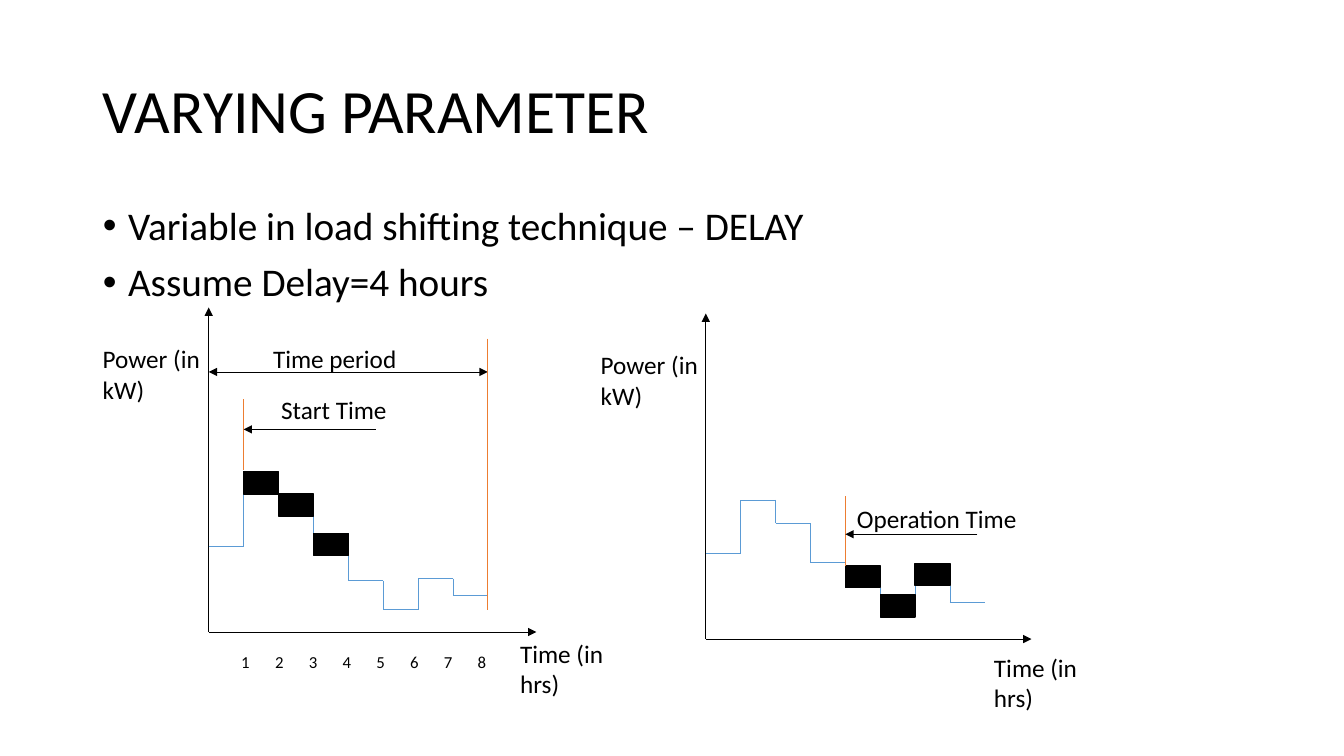
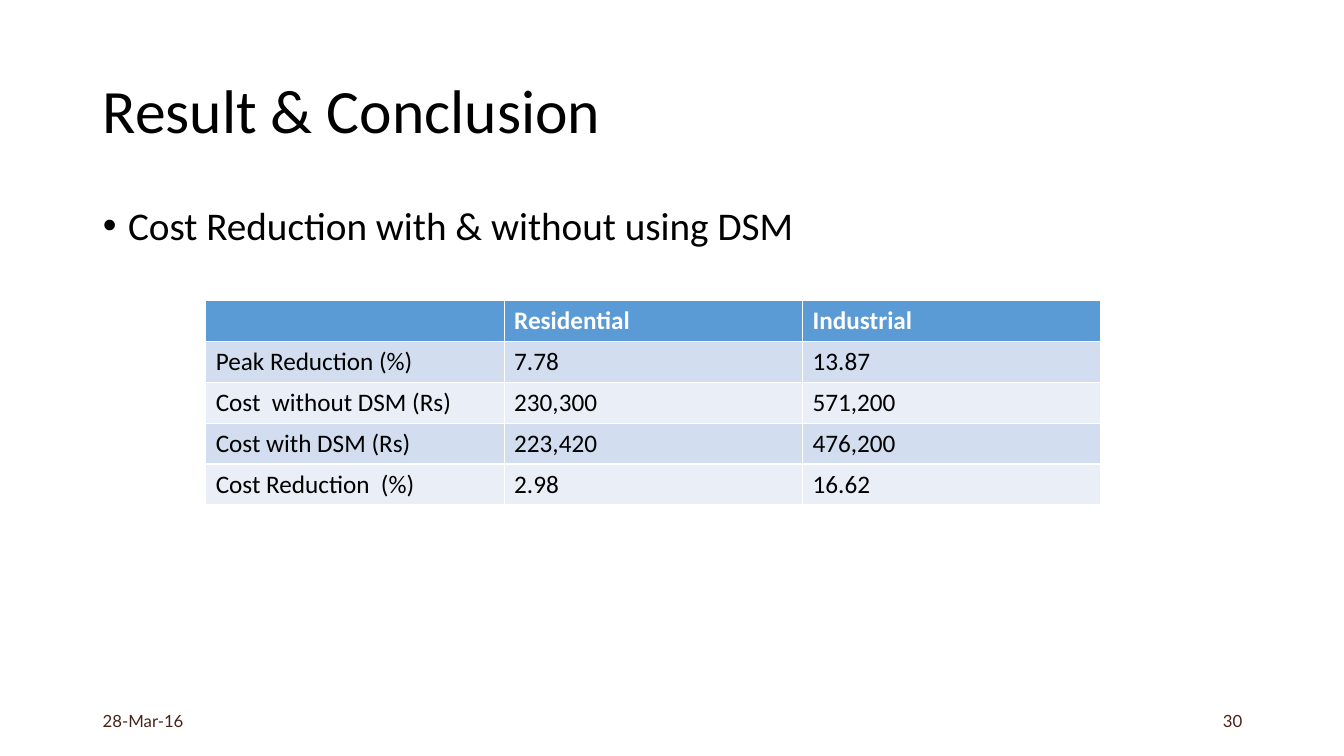
from pptx import Presentation
from pptx.dml.color import RGBColor
from pptx.enum.shapes import MSO_CONNECTOR, MSO_SHAPE
from pptx.enum.text import MSO_ANCHOR, MSO_AUTO_SIZE, PP_ALIGN
from pptx.oxml.ns import qn
from pptx.util import Inches, Pt
from lxml.etree import SubElement

BLACK, WHITE, BLUE, ORANGE, BROWN = "000000", "FFFFFF", "5B9BD5", "ED7D31", "4A2318"
ROW_FILLS = ("D2DEEF", "EAEFF7")
BLOCK_HEIGHT = 0.22
HOUR_WIDTH = 0.346

DELAY_TITLE = "VARYING PARAMETER"
DELAY_POINTS = ["Variable in load shifting technique – DELAY", "Assume Delay=4 hours"]
RESULT_TITLE = "Result & Conclusion"
RESULT_POINTS = ["Cost Reduction with & without using DSM"]
RESULT_ROWS = [
    ("", "Residential", "Industrial"),
    ("Peak Reduction (%)", "7.78", "13.87"),
    ("Cost  without DSM (Rs)", "230,300", "571,200"),
    ("Cost with DSM (Rs)", "223,420", "476,200"),
    ("Cost Reduction  (%)", "2.98", "16.62"),
]
DATE, PAGE = "28-Mar-16", "30"

LOAD_CURVES = [
    {
        "origin": (2.07, 6.27), "axis_top": 3.05, "axis_right": 5.32,
        "levels": [5.42, 4.68, 4.9, 5.29, 5.76, 6.05, 5.74, 5.91],
        "block_hours": (1, 2, 3), "block_shift": 0,
        "power_label": (0.92, 3.36), "time_label": (5.06, 6.28),
        "marker_hour": 1, "marker": (4.66, 3.96), "marker_arrow": 4.26,
        "marker_label": ("Start Time", 2.69, 3.86),
    },
    {
        "origin": (7, 6.34), "axis_top": 3.11, "axis_right": 10.23,
        "levels": [5.49, 4.96, 5.19, 5.58, 5.83, 6.12, 5.81, 5.98],
        "block_hours": (4, 5, 6), "block_shift": -BLOCK_HEIGHT,
        "power_label": (5.86, 3.42), "time_label": (9.76, 6.42),
        "marker_hour": 4, "marker": (5.62, 4.92), "marker_arrow": 5.3,
        "marker_label": ("Operation Time", 8.4, 4.94),
    },
]


def rgb(value):
    return RGBColor.from_string(value)


def write(frame, lines, size=18, color=BLACK, font="Calibri", bold=False,
          align=PP_ALIGN.LEFT, spacing=None, before=None, indent=None):
    for index, line in enumerate(lines):
        paragraph = frame.paragraphs[0] if index == 0 else frame.add_paragraph()
        paragraph.alignment = align
        paragraph.line_spacing = spacing
        paragraph.space_before = before
        if indent:
            properties = paragraph._p.get_or_add_pPr()
            properties.set("marL", str(Inches(indent)))
            properties.set("indent", str(-Inches(indent)))
        run = paragraph.add_run()
        run.text = line
        run.font.size, run.font.name, run.font.bold = Pt(size), font, bold
        run.font.color.rgb = rgb(color)


def add_label(slide, text, left, top, width, height=0.4, anchor=MSO_ANCHOR.TOP, **style):
    frame = slide.shapes.add_textbox(
        Inches(left), Inches(top), Inches(width), Inches(height)).text_frame
    frame.word_wrap = True
    frame.vertical_anchor = anchor
    write(frame, [text], **style)


def add_line(slide, start, end, color=BLACK, head=False, tail=False):
    line = slide.shapes.add_connector(
        MSO_CONNECTOR.STRAIGHT, *(Inches(value) for value in (*start, *end)))
    line.line.width = Pt(0.5)
    line.line.color.rgb = rgb(color)
    outline = line.line._get_or_add_ln()
    for tag, wanted in (("a:headEnd", head), ("a:tailEnd", tail)):
        if wanted:
            SubElement(outline, qn(tag)).set("type", "triangle")
    SubElement(line._element.spPr, qn("a:effectLst"))


def place(shape, left, top, width, height):
    shape.left, shape.top = Inches(left), Inches(top)
    shape.width, shape.height = Inches(width), Inches(height)


def add_content_slide(deck, title, points):
    slide = deck.slides.add_slide(deck.slide_layouts[1])
    heading, body = slide.shapes.title, slide.placeholders[1]
    place(heading, 0.92, 0.4, 11.5, 1.45)
    place(body, 0.92, 2, 11.5, 4.76)
    heading.text_frame.vertical_anchor = MSO_ANCHOR.MIDDLE
    body.text_frame.auto_size = MSO_AUTO_SIZE.NONE
    write(heading.text_frame, [title], size=44, spacing=0.9)
    write(body.text_frame, points, size=28, spacing=0.9, before=Pt(10), indent=0.25)
    return slide


def draw_load_curve(slide, curve):
    left, base = curve["origin"]
    levels = curve["levels"]
    edges = [left + HOUR_WIDTH * hour for hour in range(len(levels) + 1)]
    add_line(slide, (left, base), (left, curve["axis_top"]), tail=True)
    add_line(slide, (left, base), (curve["axis_right"], base), tail=True)

    for hour, level in enumerate(levels):
        add_line(slide, (edges[hour], level), (edges[hour + 1], level), BLUE)
        if hour:
            add_line(slide, (edges[hour], levels[hour - 1]), (edges[hour], level), BLUE)

    for hour in curve["block_hours"]:
        block = slide.shapes.add_shape(
            MSO_SHAPE.RECTANGLE, Inches(edges[hour]),
            Inches(levels[hour] + curve["block_shift"]),
            Inches(HOUR_WIDTH), Inches(BLOCK_HEIGHT))
        block.shadow.inherit = False
        block.fill.solid()
        block.fill.fore_color.rgb = rgb(BLACK)
        block.line.color.rgb = rgb(BLACK)
        block.line.width = Pt(1)

    add_label(slide, "Power (in kW)", *curve["power_label"], 1.3)
    add_label(slide, "Time (in hrs)", *curve["time_label"], 1.22)

    marked = edges[curve["marker_hour"]]
    bottom, top = curve["marker"]
    arrow = curve["marker_arrow"]
    add_line(slide, (marked, bottom), (marked, top), ORANGE)
    add_line(slide, (marked + 1.31, arrow), (marked, arrow), tail=True)
    add_label(slide, *curve["marker_label"], 2.09)
    return edges


def build_delay_slide(deck):
    slide = add_content_slide(deck, DELAY_TITLE, DELAY_POINTS)
    edges, _ = [draw_load_curve(slide, curve) for curve in LOAD_CURVES]
    add_line(slide, (edges[0], 3.69), (edges[-1], 3.69), head=True, tail=True)
    add_line(slide, (edges[-1], 3.36), (edges[-1], 6.05), ORANGE)
    add_label(slide, "Time period", 2.61, 3.36, 2.09)
    for hour in range(1, len(edges)):
        add_label(slide, str(hour), 1.9 + 0.335 * hour, 6.42, 0.4, 0.33,
                  size=12, align=PP_ALIGN.CENTER)


def build_result_slide(deck):
    slide = add_content_slide(deck, RESULT_TITLE, RESULT_POINTS)
    for text, left, align in ((DATE, 0.92, PP_ALIGN.LEFT), (PAGE, 9.42, PP_ALIGN.RIGHT)):
        add_label(slide, text, left, 6.95, 3, anchor=MSO_ANCHOR.MIDDLE,
                  size=12, font="Lato", color=BROWN, align=align)

    table = slide.shapes.add_table(
        len(RESULT_ROWS), len(RESULT_ROWS[0]),
        Inches(2.04), Inches(2.98), Inches(8.88), Inches(2.03)).table
    for row, values in enumerate(RESULT_ROWS):
        header = row == 0
        for column, value in enumerate(values):
            cell = table.cell(row, column)
            cell.fill.solid()
            cell.fill.fore_color.rgb = rgb(BLUE if header else ROW_FILLS[(row - 1) % 2])
            write(cell.text_frame, [value], color=WHITE if header else BLACK, bold=header)


def main():
    deck = Presentation()
    deck.slide_width, deck.slide_height = Inches(13.33), Inches(7.5)
    build_delay_slide(deck)
    build_result_slide(deck)
    deck.save("out.pptx")


if __name__ == "__main__":
    main()
